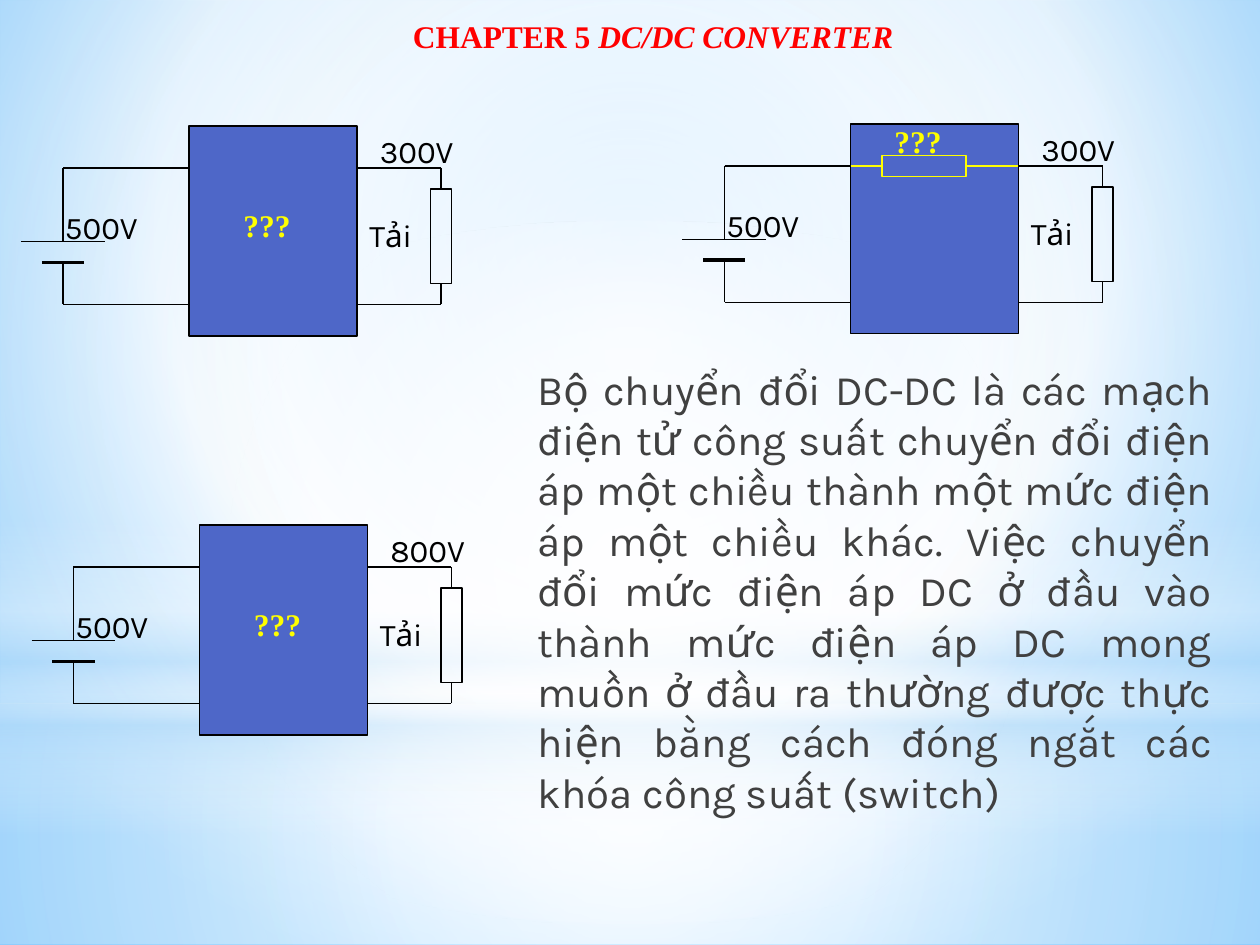
from dataclasses import dataclass
from typing import Any, Optional

from lxml import etree
from pptx import Presentation
from pptx.dml.color import RGBColor
from pptx.enum.shapes import MSO_CONNECTOR, MSO_SHAPE
from pptx.enum.text import MSO_AUTO_SIZE, PP_ALIGN
from pptx.oxml import parse_xml
from pptx.oxml.ns import qn
from pptx.util import Cm, Pt

RECT = MSO_SHAPE.RECTANGLE
OVAL = MSO_SHAPE.OVAL
LINE = MSO_CONNECTOR.STRAIGHT
GROW = MSO_AUTO_SIZE.SHAPE_TO_FIT_TEXT
FIXED = MSO_AUTO_SIZE.NONE
LEFT, MID, FULL = PP_ALIGN.LEFT, PP_ALIGN.CENTER, PP_ALIGN.JUSTIFY

STEP = 2.54 / 12
WIDE, HIGH = 120, 90
BLACK, YELLOW, RED, BLUE, GREY = "000000", "FFFF00", "FF0000", "4E67C8", "404040"
SANS, SERIF = "Karla", "Times New Roman"
XMLNS = "http://schemas.openxmlformats.org/drawingml/2006/main"
CORE = (50, 50, 50, 50)
BODY = (
    "Bộ chuyển đổi DC-DC là các mạch điện tử công suất chuyển đổi điện áp "
    "một chiều thành một mức điện áp một chiều khác. Việc chuyển đổi mức điện áp "
    "DC ở đầu vào thành mức điện áp DC mong muồn ở đầu ra thường được thực hiện "
    "bằng cách đóng ngắt các khóa công suất (switch)"
)


@dataclass
class Wire:
    x1: float
    y1: float
    x2: float
    y2: float
    width: float = 0.75
    color: str = BLACK


@dataclass
class Box:
    x: float
    y: float
    w: float
    h: float
    fill: Optional[str] = None
    line: Optional[str] = BLACK
    kind: Any = RECT


@dataclass
class Layer:
    box: Box
    stops: list
    focus: Optional[tuple] = CORE


@dataclass
class Circuit:
    dx: float
    dy: float
    volts: str
    mark: tuple = (22, 19)
    series: bool = False


WIRES = [
    Wire(2, 23, 10, 23), Wire(4, 25, 8, 25, 2.25),
    Wire(6, 25, 6, 29), Wire(6, 16, 6, 23),
    Wire(6, 29, 18, 29), Wire(6, 16, 18, 16),
    Wire(42, 27, 42, 29), Wire(42, 29, 34, 29),
    Wire(42, 16, 34, 16), Wire(42, 16, 42, 18),
]
PARTS = [Box(18, 12, 16, 20, BLUE), Box(41, 18, 2, 9)]
INNER = Box(21, 15, 8, 2, line=YELLOW)
LEADS = [Wire(18, 16, 21, 16, color=YELLOW), Wire(29, 16, 34, 16, color=YELLOW)]
CIRCUITS = [
    Circuit(0, 0, "300V"),
    Circuit(63, -0.2, "300V", (21, 11.2), True),
    Circuit(1, 38, "800V"),
]
LAYERS = [
    Layer(Box(0, 67, WIDE, 23, line=None),
          [(0, "FFFFFF", 91), (37, "FFFFFF", 76), (100, "B4DCFA", 79)]),
    Layer(Box(0, 0, WIDE, 67, line=None),
          [(0, "FFFFFF", 89), (48, "FFFFFF", 62), (100, "B4DCFA", 79)]),
    Layer(Box(0, 49.5, WIDE, 30, line=None),
          [(0, "FFFFFF", 0), (29, "FFFFFF", 30), (45, "B4DCFA", 40),
           (55, "FFFFFF", 26), (65, "B4DCFA", 60), (100, "FFFFFF", 0)], None),
    Layer(Box(0, 21, WIDE, 67, line=None, kind=OVAL),
          [(0, "FFFFFF", 100), (56, "FFFFFF", 0)]),
]
BACK = [(0, "9ED5FF", 100), (60, "FFFFFF", 100), (100, "5BB9FF", 100)]


def grid(n: float) -> int:
    return Cm(n * STEP)


def tint(color: str) -> RGBColor:
    return RGBColor.from_string(color)


def blend(props: Any, stops: list, focus: Optional[tuple]) -> None:
    marks = "".join(
        f'<a:gs pos="{pos * 1000}"><a:srgbClr val="{tint(color)}">'
        f'<a:alpha val="{alpha * 1000}"/></a:srgbClr></a:gs>'
        for pos, color, alpha in stops
    )
    shade = '<a:lin ang="5400000" scaled="0"/>'
    if focus:
        sides = " ".join(f'{s}="{v * 1000}"' for s, v in zip("ltrb", focus))
        shade = f'<a:path path="circle"><a:fillToRect {sides}/></a:path>'
    fill = parse_xml(
        f'<a:gradFill xmlns:a="{XMLNS}" rotWithShape="1">'
        f"<a:gsLst>{marks}</a:gsLst>{shade}</a:gradFill>"
    )
    props.replace(props.find(qn("a:noFill")), fill)


def draw_box(shapes: Any, box: Box, dx: float = 0, dy: float = 0) -> Any:
    shape = shapes.add_shape(
        box.kind, grid(box.x + dx), grid(box.y + dy), grid(box.w), grid(box.h))
    shape.shadow.inherit = False
    if box.fill:
        shape.fill.solid()
        shape.fill.fore_color.rgb = tint(box.fill)
    else:
        shape.fill.background()
    if box.line:
        shape.line.color.rgb = tint(box.line)
        shape.line.width = Pt(0.75)
    else:
        shape.line.fill.background()
    return shape


def draw_wire(shapes: Any, wire: Wire, dx: float, dy: float) -> None:
    link = shapes.add_connector(
        LINE, grid(wire.x1 + dx), grid(wire.y1 + dy),
        grid(wire.x2 + dx), grid(wire.y2 + dy))
    link.line.color.rgb = tint(wire.color)
    link.line.width = Pt(wire.width)
    etree.SubElement(link.element.spPr, qn("a:effectLst"))


def write(shapes: Any, text: str, x: float, y: float, w: float, h: float = 4.8, *,
          size: int = 18, font: str = SANS, color: str = BLACK, bold: bool = False,
          slant: str = "", align: Any = LEFT, fit: Any = GROW, margin: float = 0) -> None:
    frame = shapes.add_textbox(grid(x), grid(y), grid(w), grid(h)).text_frame
    frame.word_wrap = True
    frame.auto_size = fit
    para = frame.paragraphs[0]
    para.alignment = align
    if margin:
        props = para._p.get_or_add_pPr()
        props.set("marL", str(grid(margin)))
        props.set("indent", "0")
    for words, tilt in ((text, False), (slant, True)):
        if words:
            run = para.add_run()
            run.text = words
            run.font.size = Pt(size)
            run.font.name = font
            run.font.bold = bold
            run.font.italic = tilt
            run.font.color.rgb = tint(color)


def draw_circuit(slide: Any, item: Circuit) -> None:
    shapes = slide.shapes.add_group_shape().shapes
    dx, dy = item.dx, item.dy
    boxes = PARTS + [INNER] if item.series else PARTS
    wires = WIRES + LEADS if item.series else WIRES
    for box in boxes:
        draw_box(shapes, box, dx, dy)
    for wire in wires:
        draw_wire(shapes, wire, dx, dy)
    for text, x, y in (("500V", 5, 19.2), (item.volts, 35, 12), ("Tải", 34, 20)):
        write(shapes, text, x + dx, y + dy, 12)
    x, y = item.mark
    write(shapes, "???", x + dx, y + dy, 8, font=SERIF, color=YELLOW, bold=True)


def main() -> None:
    deck = Presentation()
    deck.slide_width, deck.slide_height = grid(WIDE), grid(HIGH)
    slide = deck.slides.add_slide(deck.slide_layouts[6])
    slide.background.fill.background()
    blend(slide.element.find(".//" + qn("p:bgPr")), BACK, (20, 10, 20, 60))
    for layer in LAYERS:
        shape = draw_box(slide.shapes, layer.box)
        blend(shape.element.spPr, layer.stops, layer.focus)
    write(slide.shapes, "CHAPTER 5 ", 10, 1, 102, 7, slant="DC/DC CONVERTER",
          font=SERIF, color=RED, bold=True, align=MID, fit=FIXED, margin=2.4)
    for item in CIRCUITS:
        draw_circuit(slide, item)
    write(slide.shapes, BODY, 50, 34, 66.6, 44.9, size=24, color=GREY, align=FULL)
    deck.save("out.pptx")


if __name__ == "__main__":
    main()
